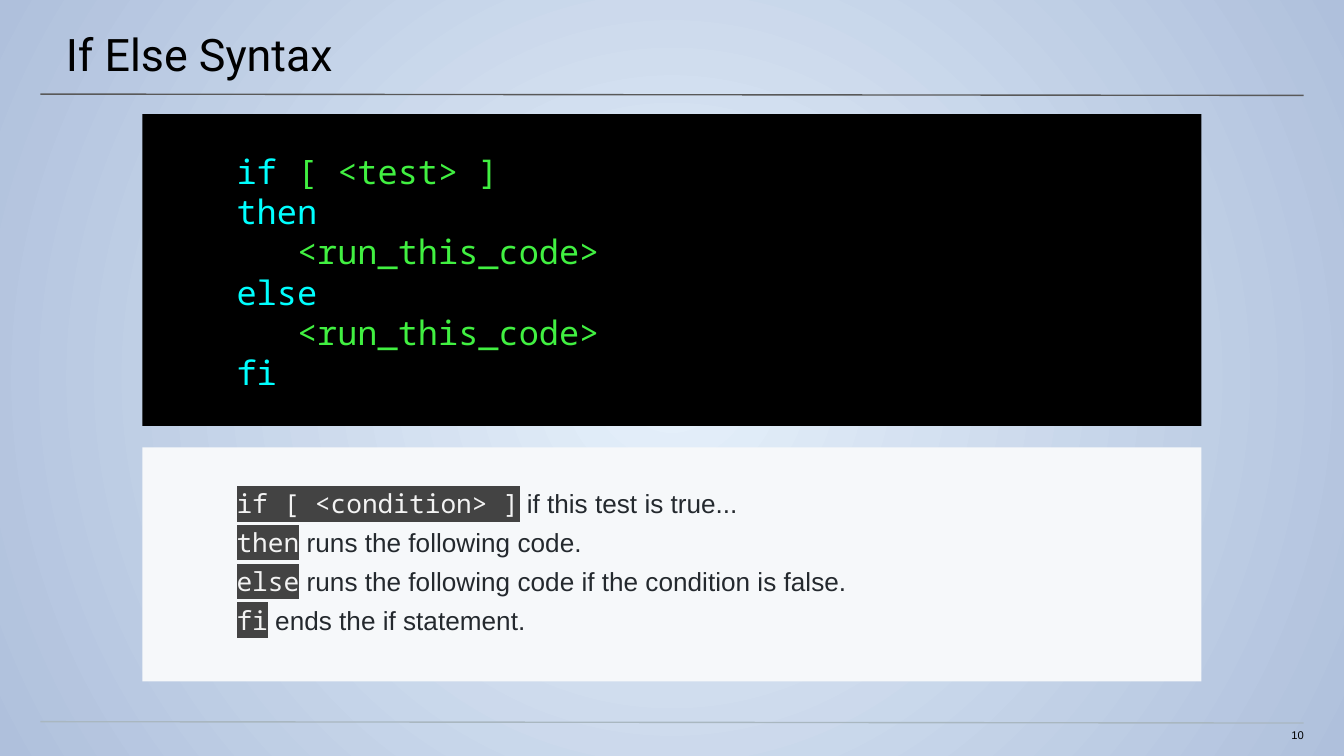
from dataclasses import dataclass

from pptx import Presentation
from pptx import util as u
from pptx.dml.color import RGBColor
from pptx.enum import shapes, text
from pptx.oxml import ns, xmlchemy


@dataclass(frozen=True)
class Theme:
    glow: str = "E6F1FB"
    edge: str = "AFC0DC"
    ink: str = "000000"
    title_rule: str = "595959"
    footer_rule: str = "A9B7C0"
    terminal: str = "000000"
    keyword: str = "00FFFF"
    code: str = "41F041"
    card: str = "F6F8FA"
    prose: str = "24292E"
    chip_text: str = "F3F3F3"
    chip: str = "434343"
    mono: str = "Noto Sans Mono"
    sans: str = "Arial"
    heading: str = "Roboto"
    title_size: int = 24
    code_size: int = 18
    body_size: int = 14
    number_size: int = 6


def rgb(value):
    return RGBColor.from_string(value)


class SlideBuilder:
    def __init__(self, slide, theme):
        self.slide = slide
        self.theme = theme

    def background(self):
        fill = self.slide.background.fill
        fill.gradient()
        for stop, color in zip(fill.gradient_stops, (self.theme.glow, self.theme.edge)):
            stop.color.rgb = rgb(color)
        gradient = self.slide.element.find(".//" + ns.qn("a:gradFill"))
        gradient.remove(gradient.find(ns.qn("a:lin")))
        circle = xmlchemy.OxmlElement("a:path")
        circle.set("path", "circle")
        center = xmlchemy.OxmlElement("a:fillToRect")
        for side in "ltrb":
            center.set(side, "50000")
        circle.append(center)
        gradient.append(circle)

    def rule(self, top, color):
        line = self.slide.shapes.add_connector(
            shapes.MSO_CONNECTOR.STRAIGHT,
            u.Inches(0.3), u.Inches(top), u.Inches(9.7), u.Inches(top + 0.01))
        line.line.color.rgb = rgb(color)
        line.line.width = u.Pt(0.75)
        line.element.spPr.append(xmlchemy.OxmlElement("a:effectLst"))

    def frame(self, shape, insets, anchor=text.MSO_ANCHOR.TOP):
        frame = shape.text_frame
        frame.word_wrap = True
        frame.vertical_anchor = anchor
        (frame.margin_left, frame.margin_top,
         frame.margin_right, frame.margin_bottom) = map(u.Inches, insets)
        return frame

    def label(self, box, insets, words, font, size, align=text.PP_ALIGN.LEFT):
        shape = self.slide.shapes.add_textbox(*map(u.Inches, box))
        paragraph = self.frame(shape, insets).paragraphs[0]
        paragraph.alignment = align
        paragraph.add_run().text = words
        paragraph.font.name = font
        paragraph.font.size = u.Pt(size)
        paragraph.font.color.rgb = rgb(self.theme.ink)

    def panel(self, top, height, color, insets, anchor=text.MSO_ANCHOR.TOP):
        shape = self.slide.shapes.add_shape(
            shapes.MSO_SHAPE.RECTANGLE,
            u.Inches(1.06), u.Inches(top), u.Inches(7.88), u.Inches(height))
        shape.shadow.inherit = False
        shape.fill.solid()
        shape.fill.fore_color.rgb = rgb(color)
        shape.line.fill.background()
        return self.frame(shape, insets, anchor)

    def lines(self, frame, rows, size, gap=0):
        for index, row in enumerate(rows):
            paragraph = frame.add_paragraph() if index else frame.paragraphs[0]
            paragraph.alignment = text.PP_ALIGN.LEFT
            paragraph.space_before = u.Pt(gap if index else 0)
            paragraph.font.size = u.Pt(size)
            for words, font, color, highlight in row:
                run = paragraph.add_run()
                run.text = words
                run.font.color.rgb = rgb(color)
                if highlight:
                    self.highlight(run, highlight)
                run.font.name = font

    def highlight(self, run, color):
        mark = xmlchemy.OxmlElement("a:highlight")
        value = xmlchemy.OxmlElement("a:srgbClr")
        value.set("val", color)
        mark.append(value)
        run._r.get_or_add_rPr().find(ns.qn("a:solidFill")).addnext(mark)

    def terminal(self, rows):
        t = self.theme
        frame = self.panel(0.85, 2.32, t.terminal, (0.7, 0.4, 0.1, 0.38),
                           text.MSO_ANCHOR.MIDDLE)
        styled = [[(words, t.mono, color, t.terminal) for words, color in row]
                  for row in rows]
        self.lines(frame, styled, t.code_size)

    def explanation(self, rows):
        t = self.theme
        frame = self.panel(3.33, 1.74, t.card, (0.7, 0.3, 0.1, 0.1))
        styled = [[(command, t.mono, t.chip_text, t.chip),
                   (meaning, t.sans, t.prose, None)] for command, meaning in rows]
        self.lines(frame, styled, t.body_size, gap=4)


def main():
    deck = Presentation()
    deck.slide_width = u.Inches(10)
    deck.slide_height = u.Inches(10 * 9 / 16)
    theme = Theme()
    page = SlideBuilder(deck.slides.add_slide(deck.slide_layouts[6]), theme)

    page.background()
    page.rule(0.7, theme.title_rule)
    page.rule(5.37, theme.footer_rule)

    body = ("   <run_this_code>", theme.code)
    page.terminal([
        [("if", theme.keyword), (" [ <test> ]", theme.code)],
        [("then", theme.keyword)],
        [body],
        [("else", theme.keyword)],
        [body],
        [("fi", theme.keyword)],
    ])
    page.explanation([
        ("if [ <condition> ]", " if this test is true..."),
        ("then", " runs the following code."),
        ("else", " runs the following code if the condition is false."),
        ("fi", " ends the if statement."),
    ])

    page.label((-0.01, 0, 10.03, 0.58), (0.5, 0.2, 0.3, 0.1),
               "If Else Syntax", theme.heading, theme.title_size)
    page.label((9.41, 5.42, 0.29, 0.12), (0, 0, 0, 0.1),
               "10", theme.sans, theme.number_size, text.PP_ALIGN.RIGHT)
    deck.save("out.pptx")


if __name__ == "__main__":
    main()
